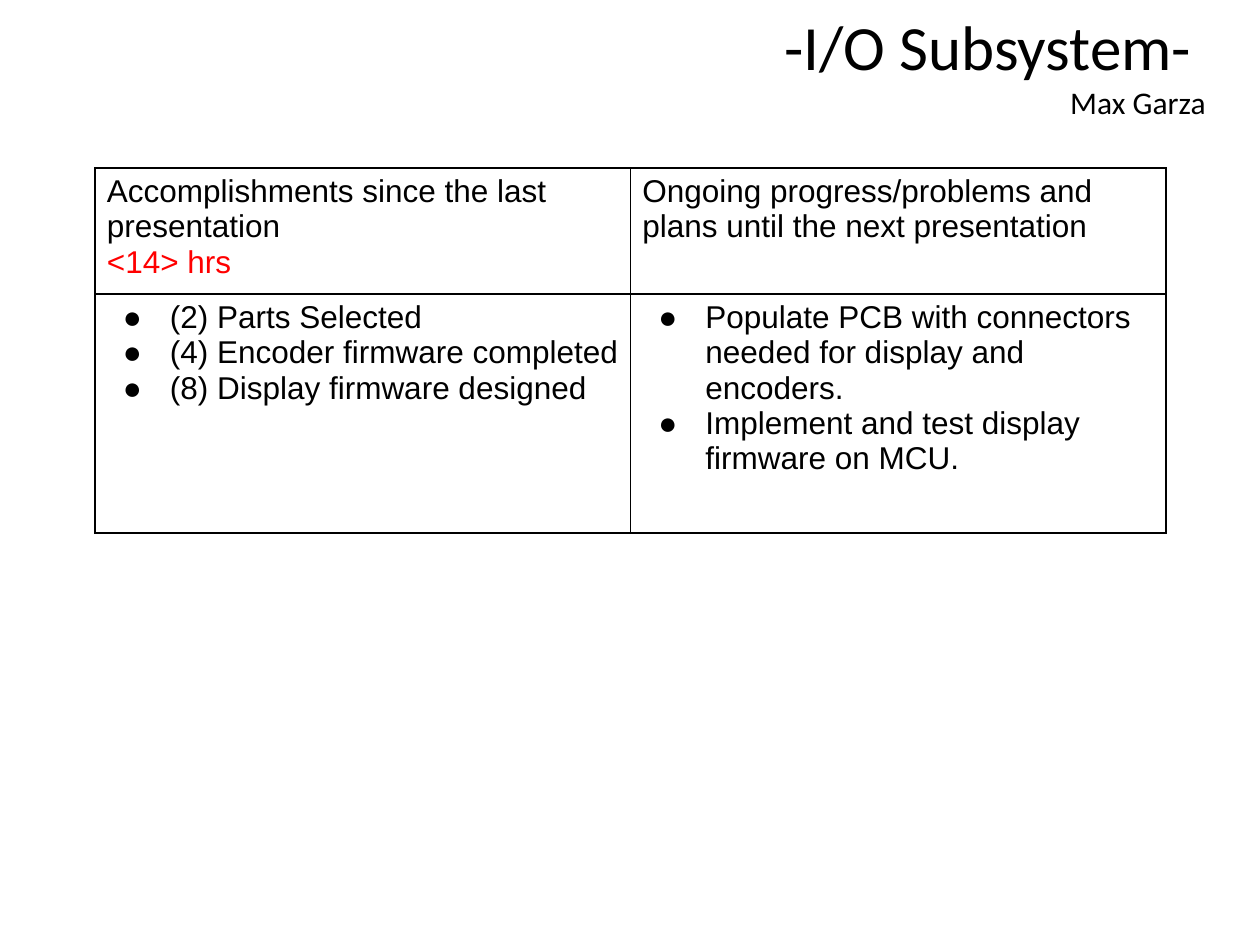
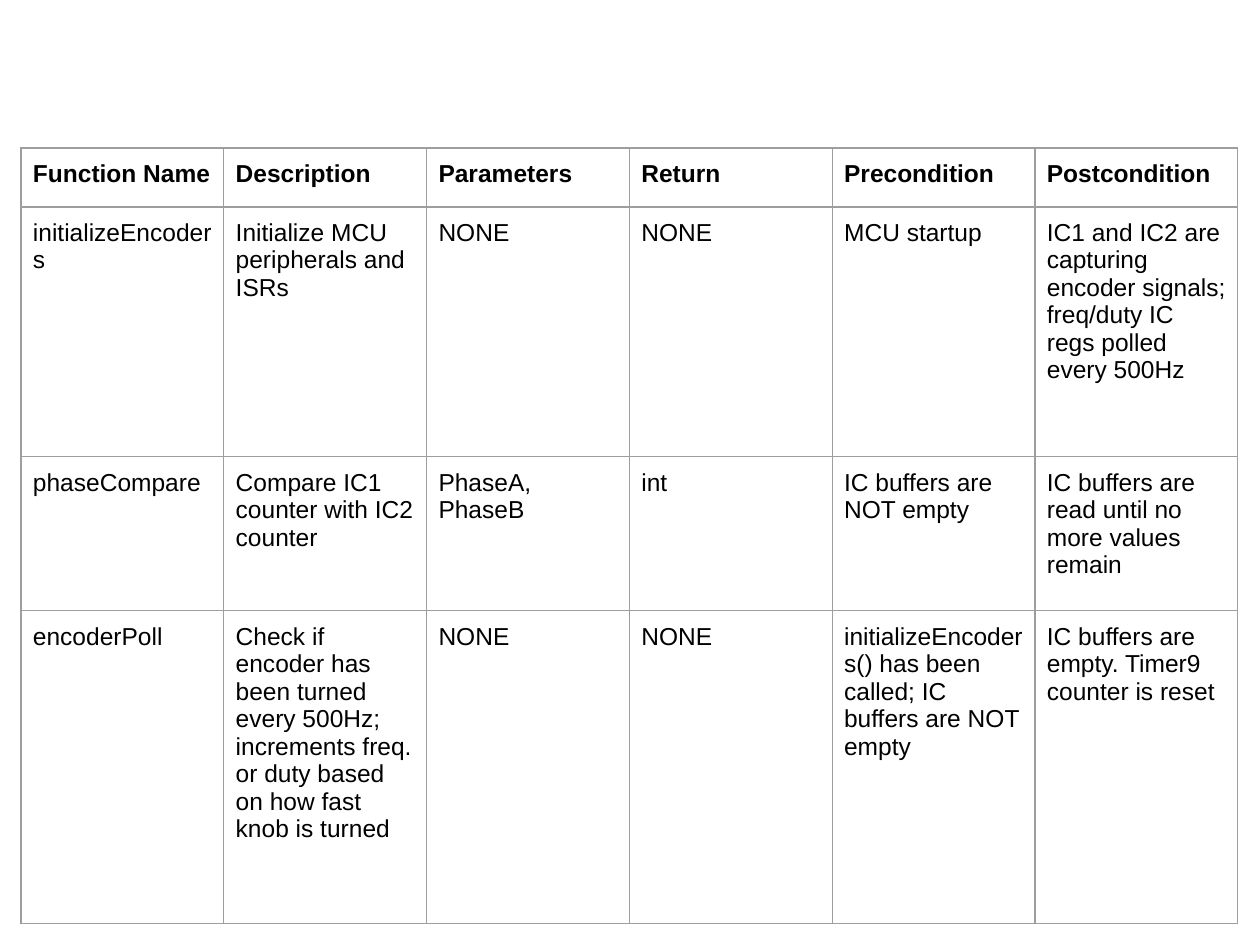
import dataclasses

import lxml.etree
import pptx
import pptx.dml.color
import pptx.enum.text
import pptx.oxml.ns
import pptx.slide
import pptx.text.text
import pptx.util

SCALE = 914400 / 126
BLACK = "000000"
RED = "FF0000"
GREY = "9E9E9E"
RIGHT = pptx.enum.text.PP_ALIGN.RIGHT


@dataclasses.dataclass
class Line:
    text: str
    color: str = BLACK
    bullet: bool = False


@dataclasses.dataclass
class Grid:
    left: int
    top: int
    width: int
    heights: list[int]
    rows: list[list[list[Line]]]
    size: int
    edge: str
    weight: float
    inset: int
    head: bool = False


def px(value: float) -> int:
    return round(value * SCALE)


def rgb(code: str) -> pptx.dml.color.RGBColor:
    return pptx.dml.color.RGBColor.from_string(code)


def node(parent, tag: str, **attrs: str):
    return lxml.etree.SubElement(parent, pptx.oxml.ns.qn(tag), attrs)


def mark(para) -> None:
    props = para._p.get_or_add_pPr()
    props.set("marL", str(px(63)))
    props.set("indent", str(px(-47)))
    node(node(props, "a:buClr"), "a:srgbClr", val=BLACK)
    node(props, "a:buFont", typeface="Arial")
    node(props, "a:buChar", char="●")


def write(frame: pptx.text.text.TextFrame, text: str, *, size: int,
          font: str = "Arial", color: str = BLACK, bold: bool = False,
          align=None, bullet: bool = False) -> None:
    para = frame.add_paragraph() if frame.text else frame.paragraphs[0]
    para.alignment = align
    if bullet:
        mark(para)
    run = para.add_run()
    run.text = text
    run.font.name = font
    run.font.size = pptx.util.Pt(size)
    run.font.bold = bold
    run.font.color.rgb = rgb(color)


def border(cell, color: str, weight: float) -> None:
    props = cell._tc.get_or_add_tcPr()
    for side in ("a:lnL", "a:lnR", "a:lnT", "a:lnB"):
        line = node(props, side, w=str(pptx.util.Pt(weight)))
        node(node(line, "a:solidFill"), "a:srgbClr", val=color)


def title(slide: pptx.slide.Slide, head: str, name: str) -> None:
    box = slide.shapes.add_textbox(px(304), px(1), px(914), px(127))
    frame = box.text_frame
    frame.word_wrap = True
    write(frame, head, size=36, font="Calibri", align=RIGHT)
    write(frame, name, size=18, font="Calibri", align=RIGHT)


def draw(slide: pptx.slide.Slide, grid: Grid) -> None:
    count = len(grid.rows[0])
    table = slide.shapes.add_table(
        len(grid.rows), count, px(grid.left), px(grid.top),
        px(grid.width), px(sum(grid.heights))).table
    table.first_row = False
    table.horz_banding = False
    for col in table.columns:
        col.width = px(grid.width / count)
    for r, (height, cells) in enumerate(zip(grid.heights, grid.rows)):
        table.rows[r].height = px(height)
        for c, lines in enumerate(cells):
            cell = table.cell(r, c)
            cell.margin_left = cell.margin_right = px(12)
            cell.margin_top = cell.margin_bottom = px(grid.inset)
            border(cell, grid.edge, grid.weight)
            cell.fill.background()
            for line in lines:
                write(cell.text_frame, line.text, size=grid.size,
                      color=line.color, bullet=line.bullet,
                      bold=grid.head and r == 0)


def points(*texts: str) -> list[Line]:
    return [Line(text, bullet=True) for text in texts]


STATUS = Grid(
    left=95, top=168, width=1071, heights=[126, 239], size=18,
    edge=BLACK, weight=1, inset=6,
    rows=[
        [[Line("Accomplishments since the last presentation"),
          Line("<14> hrs", RED)],
         [Line("Ongoing progress/problems and plans until the next presentation")]],
        [points("(2) Parts Selected",
                "(4) Encoder firmware completed",
                "(8) Display firmware designed"),
         points("Populate PCB with connectors needed for display and encoders.",
                "Implement and test display firmware on MCU.")],
    ])

CALLS = [
    ["Function Name", "Description", "Parameters", "Return",
     "Precondition", "Postcondition"],
    ["initializeEncoders", "Initialize MCU peripherals and ISRs", "NONE", "NONE",
     "MCU startup",
     "IC1 and IC2 are capturing encoder signals; freq/duty IC regs polled every 500Hz"],
    ["phaseCompare", "Compare IC1 counter with IC2 counter", "PhaseA, PhaseB", "int",
     "IC buffers are NOT empty", "IC buffers are read until no more values remain"],
    ["encoderPoll",
     "Check if encoder has been turned every 500Hz; increments freq. or duty "
     "based on how fast knob is turned",
     "NONE", "NONE",
     "initializeEncoders() has been called; IC buffers are NOT empty",
     "IC buffers are empty. Timer9 counter is reset"],
]

API = Grid(
    left=21, top=148, width=1217, heights=[59, 250, 154, 313], size=14,
    edge=GREY, weight=0.75, inset=12, head=True,
    rows=[[[Line(text)] for text in row] for row in CALLS])


def main() -> None:
    deck = pptx.Presentation()
    deck.slide_width = px(1260)
    deck.slide_height = px(945)
    blank = deck.slide_layouts[6]
    first = deck.slides.add_slide(blank)
    title(first, "-I/O Subsystem- ", "Max Garza")
    draw(first, STATUS)
    draw(deck.slides.add_slide(blank), API)
    deck.save("out.pptx")


if __name__ == "__main__":
    main()
